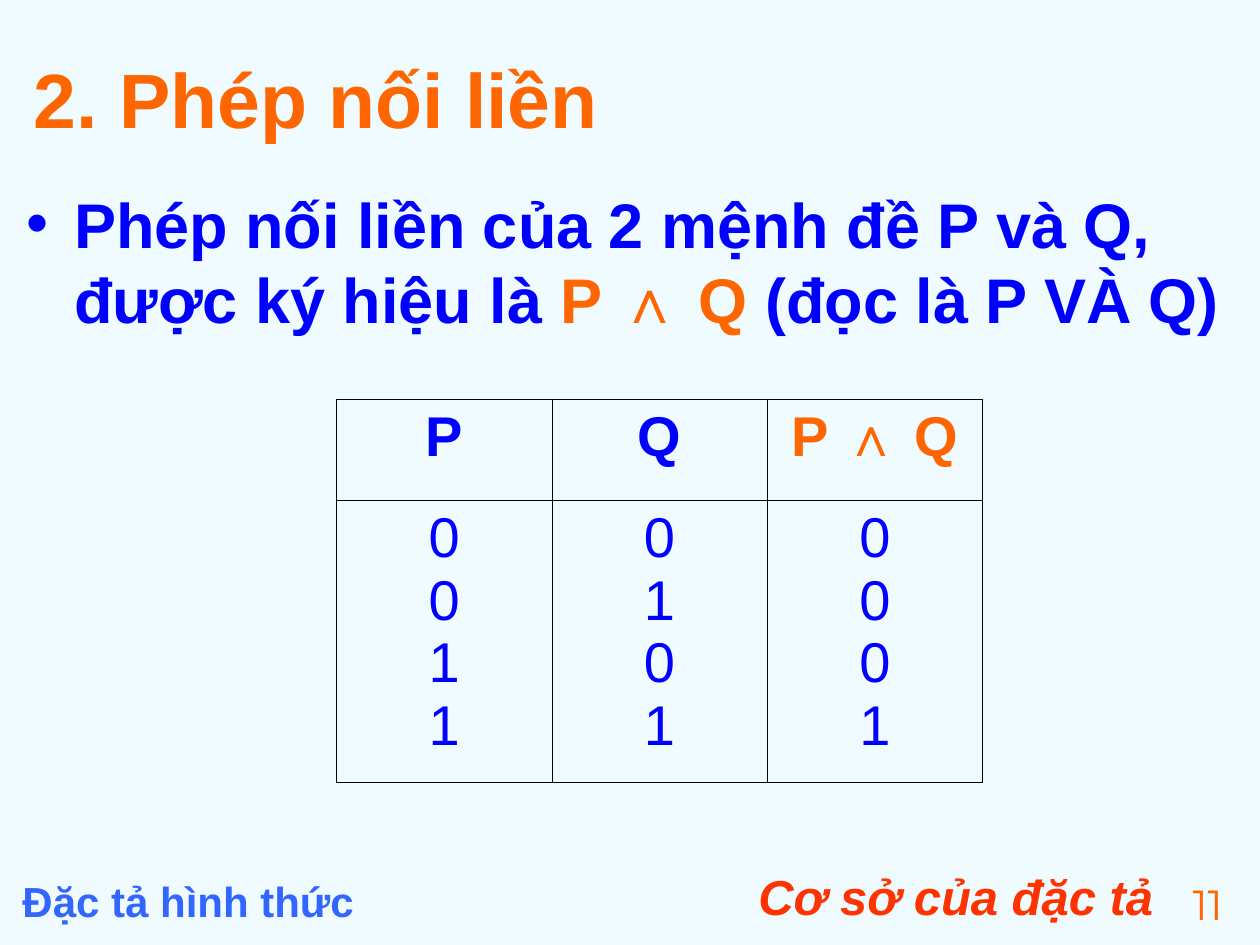
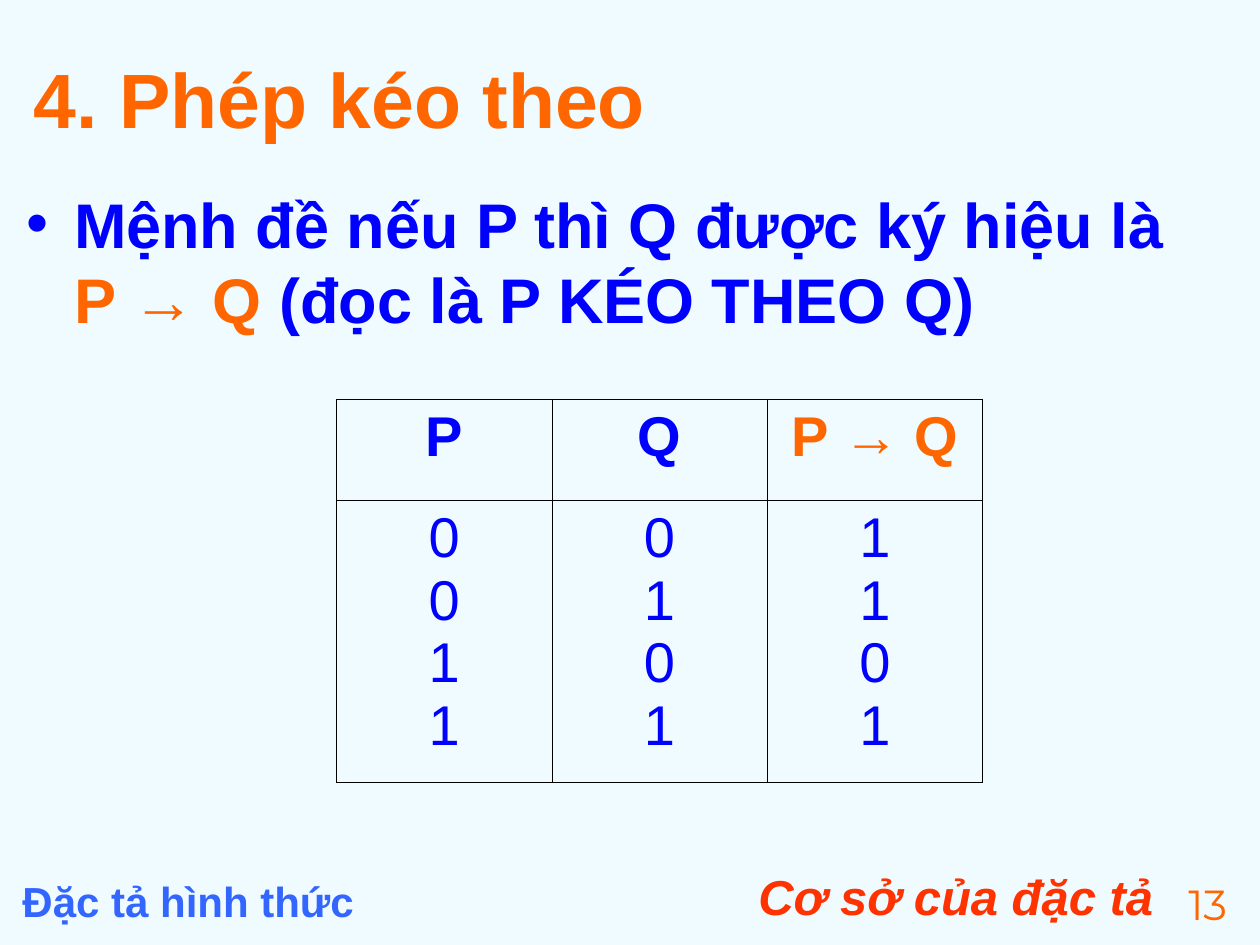
from lxml import etree
from pptx import Presentation
from pptx.dml.color import RGBColor
from pptx.enum import text
from pptx.oxml import ns
from pptx.util import Inches, Pt

# Content
COURSE = "Đặc tả hình thức"
CHAPTER = "Cơ sở của đặc tả"
P_VALUES = [0, 0, 1, 1]
Q_VALUES = [0, 1, 0, 1]
OPERATIONS = [
    {
        "number": 11,
        "title": "2. Phép nối liền",
        "before": "Phép nối liền của 2 mệnh đề P và Q, được ký hiệu là ",
        "formula": "P ∧ Q",
        "after": " (đọc là P VÀ Q)",
        "result": [0, 0, 0, 1],
    },
    {
        "number": 13,
        "title": "4. Phép kéo theo",
        "before": "Mệnh đề nếu P thì Q được ký hiệu là ",
        "formula": "P → Q",
        "after": " (đọc là P KÉO THEO Q)",
        "result": [1, 1, 0, 1],
    },
]

# Shared look
COLORS = {
    "background": "EFFBFF",
    "accent": "FF6600",
    "body": "0000FF",
    "course": "3366FF",
    "chapter": "FF3300",
    "border": "000000",
}
FONT = "Arial"
NUMBER_FONT = "Montserrat"
LEFT, CENTER, RIGHT = (text.PP_ALIGN.LEFT, text.PP_ALIGN.CENTER, text.PP_ALIGN.RIGHT)

# Places: left, top, width, height in inches
TITLE_AT = (0.17, 0.3, 9.74, 0.95)
DEFINITION_AT = (0.11, 1.42, 9.69, 5.33)
TABLE_AT = (2.67, 3.17, 5.13, 3.04)
ROW_HEIGHTS = (0.8, 2.24)
COURSE_AT = (0.08, 6.9, 4.75, 0.44)
CHAPTER_AT = (4.83, 6.83, 4.42, 0.52)
NUMBER_AT = (9.25, 6.92, 0.67, 0.44)
BULLET_INDENT = 0.38


def style(font, size, color, bold=False, italic=False, name=FONT):
    font.size = Pt(size)
    font.name = name
    font.bold = bold
    font.italic = italic
    font.color.rgb = RGBColor.from_string(COLORS[color])


def add_frame(slide, place):
    frame = slide.shapes.add_textbox(*map(Inches, place)).text_frame
    frame.word_wrap = True
    return frame


def add_line(slide, place, words, size, color, align=LEFT, **look):
    frame = add_frame(slide, place)
    frame.text = words
    line = frame.paragraphs[0]
    line.alignment = align
    style(line.runs[0].font, size, color, **look)
    return frame


def add_footer(slide, number):
    add_line(slide, CHAPTER_AT, CHAPTER, 28, "chapter", RIGHT, bold=True, italic=True)
    add_line(slide, COURSE_AT, COURSE, 24, "course", bold=True)
    add_line(slide, NUMBER_AT, str(number), 24, "accent", CENTER, name=NUMBER_FONT)


def add_definition(slide, operation):
    paragraph = add_frame(slide, DEFINITION_AT).paragraphs[0]
    # Hanging bullet in the body colour
    properties = paragraph._p.get_or_add_pPr()
    properties.set("marL", str(Inches(BULLET_INDENT)))
    properties.set("indent", str(-Inches(BULLET_INDENT)))
    bullet_color = etree.SubElement(properties, ns.qn("a:buClr"))
    etree.SubElement(bullet_color, ns.qn("a:srgbClr"), val=COLORS["body"])
    etree.SubElement(properties, ns.qn("a:buFont"), typeface=FONT)
    etree.SubElement(properties, ns.qn("a:buChar"), char="•")
    for part, color in (("before", "body"), ("formula", "accent"), ("after", "body")):
        run = paragraph.add_run()
        run.text = operation[part]
        style(run.font, 36, color, bold=True)


def add_borders(cell):
    properties = cell._tc.get_or_add_tcPr()
    for side in ("lnL", "lnR", "lnT", "lnB"):
        line = etree.SubElement(properties, ns.qn(f"a:{side}"), w=str(Pt(0.45)))
        fill = etree.SubElement(line, ns.qn("a:solidFill"))
        etree.SubElement(fill, ns.qn("a:srgbClr"), val=COLORS["border"])


def fill_cell(cell, words, color, bold):
    add_borders(cell)
    cell.fill.background()
    cell.text_frame.text = words
    for paragraph in cell.text_frame.paragraphs:
        paragraph.alignment = CENTER
        style(paragraph.runs[0].font, 32, color, bold)


def add_truth_table(slide, operation):
    columns = [
        ("P", P_VALUES, "body"),
        ("Q", Q_VALUES, "body"),
        (operation["formula"], operation["result"], "accent"),
    ]
    table = slide.shapes.add_table(2, len(columns), *map(Inches, TABLE_AT)).table
    for row, height in zip(table.rows, ROW_HEIGHTS):
        row.height = Inches(height)
    for index, (heading, values, color) in enumerate(columns):
        table.columns[index].width = Inches(TABLE_AT[2] / len(columns))
        fill_cell(table.cell(0, index), heading, color, True)
        fill_cell(table.cell(1, index), "\n".join(map(str, values)), "body", False)


def main():
    deck = Presentation()
    deck.slide_width, deck.slide_height = Inches(10), Inches(7.5)
    backdrop = deck.slide_master.background.fill
    backdrop.solid()
    backdrop.fore_color.rgb = RGBColor.from_string(COLORS["background"])

    for operation in OPERATIONS:
        slide = deck.slides.add_slide(deck.slide_layouts[6])
        add_footer(slide, operation["number"])
        title = add_line(slide, TITLE_AT, operation["title"], 44, "accent", bold=True)
        title.vertical_anchor = text.MSO_ANCHOR.MIDDLE
        add_definition(slide, operation)
        add_truth_table(slide, operation)

    deck.save("out.pptx")


if __name__ == "__main__":
    main()
